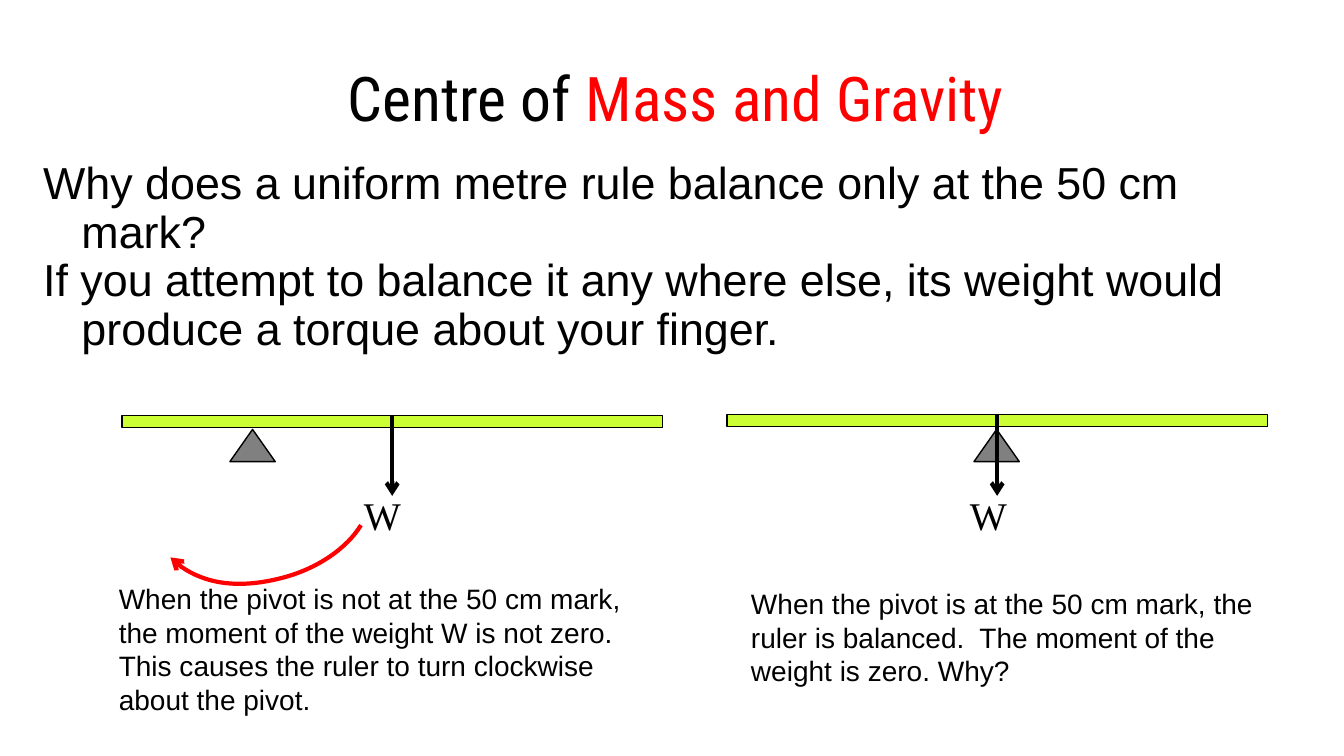
from lxml import etree
from pptx import Presentation
from pptx.dml.color import RGBColor
from pptx.enum.shapes import MSO_CONNECTOR as Connector, MSO_SHAPE as Preset
from pptx.enum.text import MSO_ANCHOR as Anchor, MSO_AUTO_SIZE as AutoSize, PP_ALIGN as Align
from pptx.oxml.ns import qn
from pptx.util import Inches, Pt

BLACK, RED, LIME, GREY = "000000", "FF0000", "CCFF33", "808080"
RULE_WIDTH, RULE_HEIGHT = 5.36, 0.12
PIVOT_WIDTH, PIVOT_HEIGHT = 0.45, 0.32
TURN_CURVE = [(1.69, 5.53), (1.91, 5.77), (2.36, 5.85), (2.81, 5.73),
              (3.15, 5.64), (3.44, 5.44), (3.58, 5.21)]


def color(value):
    """Turn a hex string into a colour."""
    return RGBColor.from_string(value)


def add_text(slide, box, paragraphs, size=20, font="Arial", align=Align.LEFT,
             anchor=Anchor.TOP, wrap=True, grow=False, hanging=0, spacing=None):
    """Add a text box; each paragraph is a list of (text, colour) runs."""
    frame = slide.shapes.add_textbox(*map(Inches, box)).text_frame
    frame.word_wrap = wrap
    frame.vertical_anchor = anchor
    frame.auto_size = AutoSize.SHAPE_TO_FIT_TEXT if grow else AutoSize.NONE
    for index, runs in enumerate(paragraphs):
        paragraph = frame.add_paragraph() if index else frame.paragraphs[0]
        paragraph.alignment = align
        paragraph.line_spacing = spacing
        if hanging:
            properties = paragraph._p.get_or_add_pPr()
            properties.set("marL", str(Inches(hanging)))
            properties.set("indent", str(-Inches(hanging)))
        for text, run_color in runs:
            run = paragraph.add_run()
            run.text = text
            run.font.name = font
            run.font.size = Pt(size)
            run.font.color.rgb = color(run_color)


def add_preset(slide, preset, box, fill):
    """Add a filled preset shape with a thin black outline."""
    shape = slide.shapes.add_shape(preset, *map(Inches, box))
    shape.shadow.inherit = False
    shape.fill.solid()
    shape.fill.fore_color.rgb = color(fill)
    shape.line.color.rgb = color(BLACK)
    shape.line.width = Pt(1)


def style_arrow(shape, line_color, end):
    """Give a line its colour, weight and arrowhead."""
    shape.line.color.rgb = color(line_color)
    shape.line.width = Pt(3)
    etree.SubElement(shape.line._get_or_add_ln(), qn(f"a:{end}"), type="arrow")


def add_weight_arrow(slide, x, top, bottom):
    """Draw the downward arrow of the weight."""
    arrow = slide.shapes.add_connector(
        Connector.STRAIGHT, *map(Inches, (x, top, x, bottom)))
    style_arrow(arrow, BLACK, "tailEnd")
    etree.SubElement(arrow._element.spPr, qn("a:effectLst"))


def add_curved_arrow(slide, points):
    """Draw a chain of cubic curves with an arrowhead at its start."""
    vertices = [(Inches(x), Inches(y)) for x, y in points]
    builder = slide.shapes.build_freeform(*vertices[0])
    builder.add_line_segments(vertices[1:], close=False)
    shape = builder.convert_to_shape()
    shape.shadow.inherit = False
    shape.fill.background()
    style_arrow(shape, RED, "headEnd")
    outline = next(shape._element.iter(qn("a:path")))
    segments = outline.findall(qn("a:lnTo"))
    for start in range(0, len(segments), 3):
        curve = etree.SubElement(outline, qn("a:cubicBezTo"))
        for segment in segments[start:start + 3]:
            curve.append(segment[0])
            outline.remove(segment)


def add_balance(slide, left, top, pivot_left, label_left):
    """Draw a metre rule with its pivot, weight arrow and label."""
    add_preset(slide, Preset.RECTANGLE, (left, top, RULE_WIDTH, RULE_HEIGHT), LIME)
    add_preset(slide, Preset.ISOSCELES_TRIANGLE,
               (pivot_left, 4.26, PIVOT_WIDTH, PIVOT_HEIGHT), GREY)
    add_weight_arrow(slide, left + RULE_WIDTH / 2, top, 4.92)
    add_text(slide, (label_left, 4.83, 0.74, 0.57), [[("W", BLACK)]],
             size=28, font="Times New Roman", wrap=False, grow=True)


def main():
    """Build the slide and save it."""
    presentation = Presentation()
    presentation.slide_width = Inches(13.33)
    presentation.slide_height = Inches(7.5)
    slide = presentation.slides.add_slide(presentation.slide_layouts[6])

    add_text(slide, (2.58, 0.67, 8.25, 0.59),
             [[("Centre of ", BLACK), ("Mass and Gravity", RED)]],
             size=44, font="Roboto Condensed", align=Align.CENTER, anchor=Anchor.MIDDLE)
    add_text(slide, (0.33, 1.55, 12.55, 4.67), [
        [("Why does a uniform metre rule balance only at the 50 cm mark?", BLACK)],
        [("If you attempt to balance it any where else, its weight would "
          "produce a torque about your finger.", BLACK)],
    ], size=32, hanging=0.38, spacing=0.9)

    add_text(slide, (1.08, 5.72, 5.37, 1.78), [[(
        "When the pivot is not at the 50 cm mark, the moment of the weight W is not zero.  "
        "This causes the ruler to turn clockwise about the pivot.", BLACK)]], grow=True)
    add_balance(slide, 1.21, 4.12, pivot_left=2.28, label_left=3.51)
    add_curved_arrow(slide, TURN_CURVE)

    add_balance(slide, 7.21, 4.11, pivot_left=9.66, label_left=9.52)
    add_text(slide, (7.35, 5.77, 5.21, 1.45), [[(
        "When the pivot is at the 50 cm mark, the ruler is balanced.  "
        "The moment of the weight is zero. Why?", BLACK)]], grow=True)

    presentation.save("out.pptx")


if __name__ == "__main__":
    main()
